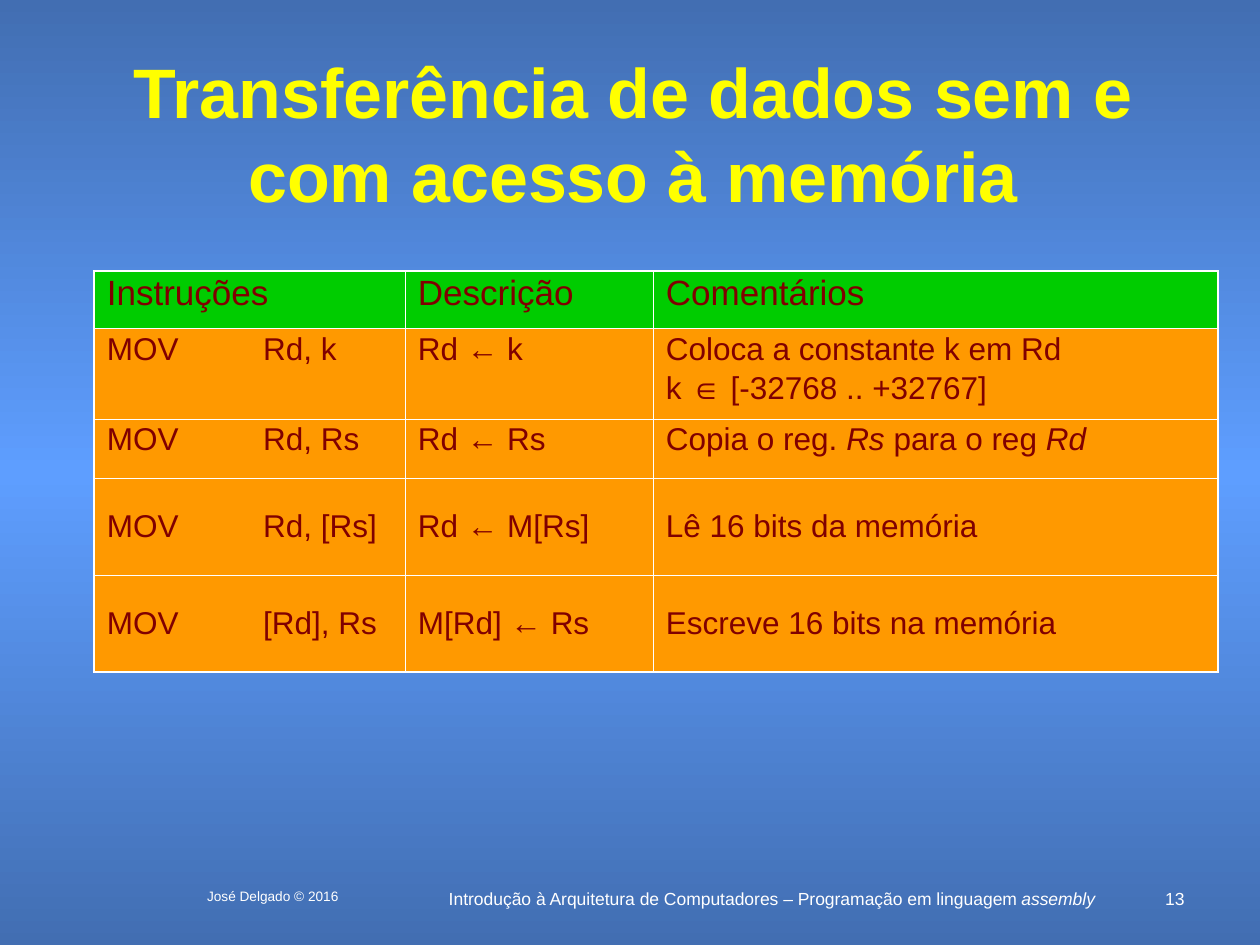
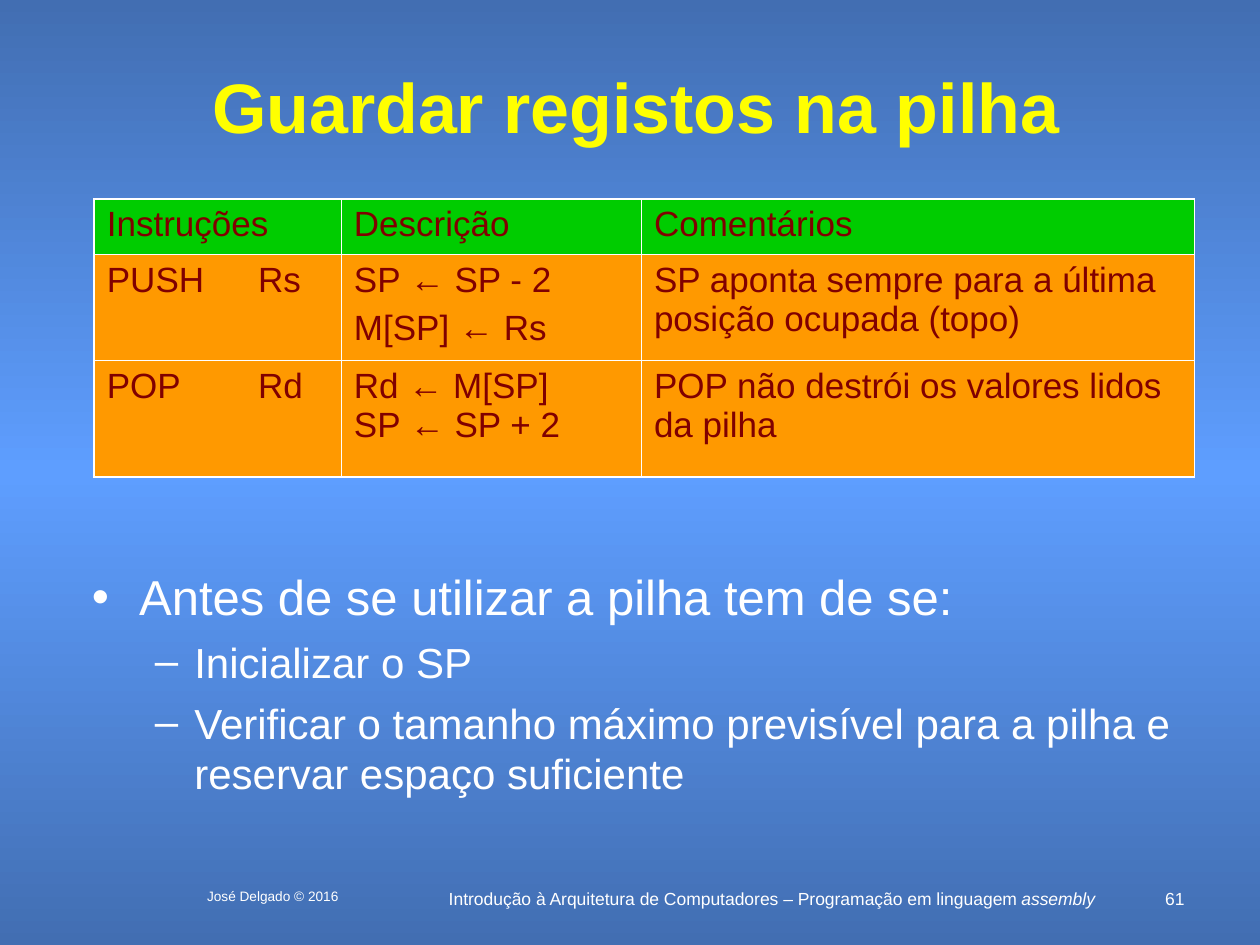
from copy import deepcopy

from lxml import etree
from pptx import Presentation
from pptx import util as u
from pptx.dml.color import RGBColor
from pptx.enum import text
from pptx.oxml import ns

EDGE_BLUE = RGBColor(0x42, 0x6E, 0xB2)
MIDDLE_BLUE = RGBColor(0x5E, 0x9E, 0xFF)
YELLOW = RGBColor(0xFF, 0xFF, 0x00)
WHITE = RGBColor(0xFF, 0xFF, 0xFF)
MAROON = RGBColor(0x80, 0x00, 0x00)
GREEN = RGBColor(0x00, 0xCC, 0x00)
ORANGE = RGBColor(0xFF, 0x99, 0x00)
INNER, OUTER = u.Pt(0.45), u.Pt(1.08)
LEFT, CENTER, RIGHT = text.PP_ALIGN.LEFT, text.PP_ALIGN.CENTER, text.PP_ALIGN.RIGHT
MIDDLE = text.MSO_ANCHOR.MIDDLE


def write(frame, lines, size, colour, align=LEFT, gap=0, spacing=1.0, bold=False):
    frame.word_wrap = True
    frame.auto_size = text.MSO_AUTO_SIZE.NONE
    for number, line in enumerate(lines):
        paragraph = frame.add_paragraph() if number else frame.paragraphs[0]
        layout = {"alignment": align, "line_spacing": spacing,
                  "space_before": u.Pt(gap if number else 0)}
        for name, value in layout.items():
            setattr(paragraph, name, value)
        for part, words in enumerate(line.split("*")):
            if words:
                run = paragraph.add_run()
                run.text = words
                style = {"name": "Arial", "size": u.Pt(size), "bold": bold, "italic": part % 2 == 1}
                for name, value in style.items():
                    setattr(run.font, name, value)
                run.font.color.rgb = colour


def draw_borders(cell, widths):
    properties = cell._tc.get_or_add_tcPr()
    for side, width in zip("LRTB", widths):
        line = etree.SubElement(properties, ns.qn(f"a:ln{side}"), w=str(int(width)))
        if width:
            fill = etree.SubElement(line, ns.qn("a:solidFill"))
            etree.SubElement(fill, ns.qn("a:srgbClr"), val=str(WHITE))
        else:
            etree.SubElement(line, ns.qn("a:noFill"))


HEADINGS = ["Instruções", "", "Descrição", "Comentários"]
LESSONS = [
    {
        "number": "13",
        "title": "Transferência de dados sem e com acesso à memória",
        "title_box": (1.8, 0.84, 21.92, 3.68),
        "top": 5.46,
        "columns": [3.15, 3.12, 5, 11.38],
        "heights": [1.16, 1.83, 1.19, 1.95, 1.95],
        "size": 18,
        "gap": 4.5,
        "spacing": 0.9,
        "centred_rows": [3, 4],
        "tight_cells": [],
        "instructions": [
            ["MOV", "Rd, k", "Rd ← k", "Coloca a constante k em Rd\nk ∈ [-32768 .. +32767]"],
            ["MOV", "Rd, Rs", "Rd ← Rs", "Copia o reg. *Rs* para o reg *Rd*"],
            ["MOV", "Rd, [Rs]", "Rd ← M[Rs]", "Lê 16 bits da memória"],
            ["MOV", "[Rd], Rs", "M[Rd] ← Rs", "Escreve 16 bits na memória"],
        ],
        "advice": [],
    },
    {
        "number": "61",
        "title": "Guardar registos na pilha",
        "title_box": (1.32, 1.27, 22.99, 1.7),
        "top": 4.01,
        "columns": [3.05, 1.93, 6.05, 11.15],
        "heights": [1.12, 2.13, 2.36],
        "size": 20,
        "gap": 5,
        "spacing": 1.0,
        "centred_rows": [],
        "tight_cells": [(2, 2)],
        "instructions": [
            ["PUSH", "Rs", "SP ← SP - 2\nM[SP] ← Rs",
             "SP aponta sempre para a última posição ocupada (topo)"],
            ["POP", "Rd", "Rd ← M[SP]\nSP ← SP + 2", "POP não destrói os valores lidos da pilha"],
        ],
        "advice": [
            (0, 28, "Antes de se utilizar a pilha tem de se:"),
            (1, 24, "Inicializar o SP"),
            (1, 24, "Verificar o tamanho máximo previsível para a pilha e reservar espaço suficiente"),
        ],
    },
]

prs = Presentation()
prs.slide_width, prs.slide_height = u.Cm(25.4), u.Cm(19.05)

backdrop = prs.slide_master.background.fill
backdrop.gradient()
backdrop.gradient_angle = 90
stop_list = prs.slide_master.element.find(".//" + ns.qn("a:gsLst"))
stop_list.append(deepcopy(stop_list[0]))
for stop, place, colour in zip(backdrop.gradient_stops, (0, 0.5, 1), (EDGE_BLUE, MIDDLE_BLUE, EDGE_BLUE)):
    stop.position = place
    stop.color.rgb = colour

for lesson in LESSONS:
    slide = prs.slides.add_slide(prs.slide_layouts[1 if lesson["advice"] else 5])

    footers = [
        ((8.71, 17.78, 13.7, 0.64), 10, CENTER,
         "Introdução à Arquitetura de Computadores – Programação em linguagem *assembly*"),
        ((23.06, 17.78, 1.07, 0.43), 10, RIGHT, lesson["number"]),
        ((3.38, 17.78, 4.24, 0.64), 7.8, CENTER, "José Delgado © 2016"),
    ]
    for box, size, align, words in footers:
        footer = slide.shapes.add_textbox(*map(u.Cm, box))
        write(footer.text_frame, [words], size, WHITE, align)

    title = slide.shapes.title
    title.left, title.top, title.width, title.height = map(u.Cm, lesson["title_box"])
    title.text_frame.vertical_anchor = MIDDLE
    write(title.text_frame, [lesson["title"]], 40, YELLOW, CENTER, bold=True)

    rows = [HEADINGS] + lesson["instructions"]
    columns, heights = lesson["columns"], lesson["heights"]
    instructions = slide.shapes.add_table(
        len(rows), len(columns), u.Cm(1.9), u.Cm(lesson["top"]),
        u.Cm(sum(columns)), u.Cm(sum(heights))).table
    instructions.first_row = instructions.horz_banding = False
    for column, width in zip(instructions.columns, columns):
        column.width = u.Cm(width)
    for row, height in zip(instructions.rows, heights):
        row.height = u.Cm(height)
    instructions.cell(0, 0).merge(instructions.cell(0, 1))

    last_row, last_column = len(rows) - 1, len(columns) - 1
    for r, row in enumerate(rows):
        for c, words in enumerate(row):
            cell = instructions.cell(r, c)
            operand_gap = 0 if r else INNER
            draw_borders(cell, [
                OUTER if c == 0 else operand_gap if c == 1 else INNER,
                OUTER if c == last_column else operand_gap if c == 0 else INNER,
                OUTER if r == 0 else INNER,
                OUTER if r == last_row else INNER,
            ])
            cell.fill.solid()
            cell.fill.fore_color.rgb = ORANGE if r else GREEN
            centred = r in lesson["centred_rows"]
            if centred:
                cell.vertical_anchor = MIDDLE
            write(cell.text_frame, words.split("\n"), lesson["size"] if r else 20, MAROON,
                  gap=0 if (r, c) in lesson["tight_cells"] else lesson["gap"],
                  spacing=1.0 if centred else lesson["spacing"])

    if lesson["advice"]:
        advice = slide.placeholders[1]
        advice.left, advice.top, advice.width, advice.height = map(u.Cm, (1.6, 11.3, 22.5, 5.41))
        write(advice.text_frame, [words for _, _, words in lesson["advice"]], 24, WHITE, gap=6)
        for paragraph, (level, size, _) in zip(advice.text_frame.paragraphs, lesson["advice"]):
            paragraph.level = level
            paragraph.runs[0].font.size = u.Pt(size)

prs.save("out.pptx")
